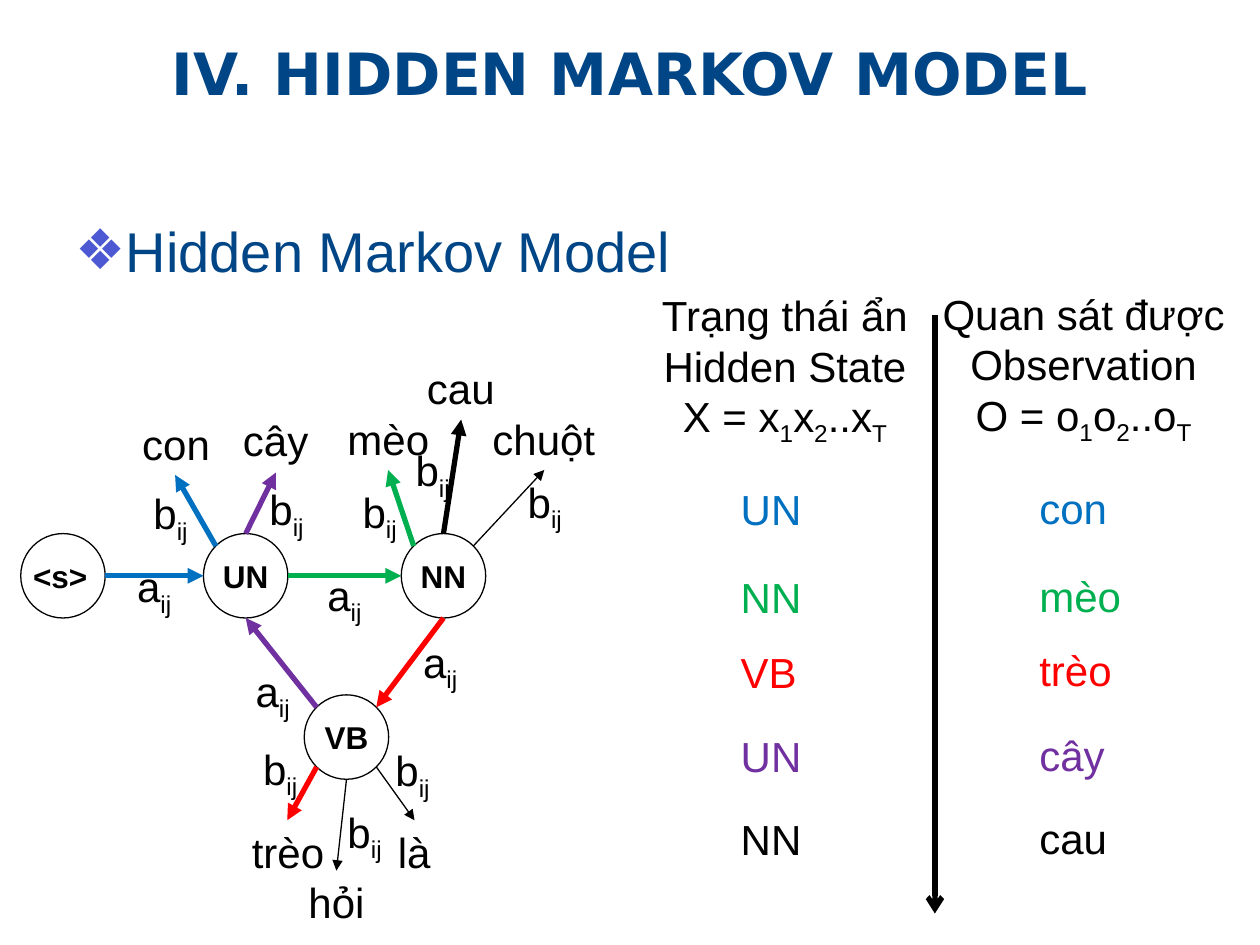
"""Build the Hidden Markov Model slide: state graph and hidden/observed sequences."""
import math

import pptx
import pptx.dml.color
import pptx.enum.shapes
import pptx.enum.text
import pptx.oxml.ns
import pptx.util
from lxml import etree
from pptx.util import Inches

COLORS = {
    "black": "000000", "navy": "004586", "bullet": "4C59D2", "blue": "0070C0",
    "green": "00B050", "red": "FF0000", "purple": "7030A0",
}
DIAMETER = 0.67
STATES = {"<s>": (0.5, 4.57), "UN": (1.95, 4.57), "NN": (3.52, 4.57), "VB": (2.75, 5.85)}
WIDTHS = {
    "con": 0.75, "mèo": 0.86, "trèo": 0.79, "cây": 0.73, "cau": 0.75, "chuột": 1.03,
    "hỏi": 0.66, "là": 0.47, "UN": 0.69, "NN": 0.69, "VB": 0.66,
}
# Source, exit angle, target, entry angle, colour, label corner
TRANSITIONS = [
    ("<s>", 0, "UN", 180, "blue", (0.99, 4.4)),
    ("UN", 0, "NN", 180, "green", (2.5, 4.47)),
    ("NN", 270, "VB", 45, "red", (3.26, 5)),
    ("VB", 135, "UN", 270, "purple", (1.93, 5.23)),
]
# State, exit angle, arrow tip, colour, weight, word, word corner, label corner
EMISSIONS = [
    ("UN", 135, (1.39, 3.77), "blue", 3, "con", (1.03, 3.27), (1.12, 3.82)),
    ("UN", 90, (2.19, 3.75), "purple", 3, "cây", (1.83, 3.24), (2.04, 3.79)),
    ("NN", 135, (3.08, 3.73), "green", 3, "mèo", (2.66, 3.23), (2.78, 3.81)),
    ("NN", 90, (3.66, 3.33), "black", 3, "cau", (3.29, 2.83), (3.2, 3.48)),
    ("NN", 45, (4.32, 3.73), "black", 0.75, "chuột", (3.81, 3.23), (4.09, 3.73)),
    ("VB", 225, (2.28, 6.51), "red", 3, "trèo", (1.9, 6.51), (1.99, 5.85)),
    ("VB", 270, (2.67, 6.91), "black", 0.75, "hỏi", (2.35, 6.91), (2.66, 6.35)),
    ("VB", 315, (3.29, 6.51), "black", 0.75, "là", (3.06, 6.51), (3.04, 5.86)),
]
SEQUENCE = [
    ("UN", "con", "blue", 3.78), ("NN", "mèo", "green", 4.48), ("VB", "trèo", "red", 5.07),
    ("UN", "cây", "purple", 5.74), ("NN", "cau", "black", 6.4),
]


def rgb(color):
    return pptx.dml.color.RGBColor.from_string(COLORS[color])


def set_font(paragraph, size, color="black", face="Arial", bold=False):
    font = paragraph.font
    font.size, font.name, font.bold = pptx.util.Pt(size), face, bold
    font.color.rgb = rgb(color)


def place(shape, left, top, width, height):
    shape.left, shape.top = Inches(left), Inches(top)
    shape.width, shape.height = Inches(width), Inches(height)


def clear_margins(frame):
    frame.margin_left = frame.margin_right = frame.margin_top = frame.margin_bottom = 0
    frame.vertical_anchor = pptx.enum.text.MSO_ANCHOR.MIDDLE


def add_label(slide, corner, size, lines, color="black", centered=False):
    """Add text whose parts between underscores are subscripts."""
    label = slide.shapes.add_textbox(*map(Inches, corner + size))
    frame = label.text_frame
    frame.word_wrap = False
    frame.auto_size = pptx.enum.text.MSO_AUTO_SIZE.SHAPE_TO_FIT_TEXT
    for index, line in enumerate(lines):
        paragraph = frame.add_paragraph() if index else frame.paragraphs[0]
        if centered:
            paragraph.alignment = pptx.enum.text.PP_ALIGN.CENTER
        set_font(paragraph, 24, color)
        for position, part in enumerate(line.split("_")):
            if part:
                run = paragraph.add_run()
                run.text = part
                if position % 2:
                    run.font._element.set("baseline", "-25000")


def add_word(slide, word, corner, color="black"):
    add_label(slide, corner, (WIDTHS[word], 0.5), [word], color)


def add_probability(slide, letter, corner):
    add_label(slide, corner, (0.47, 0.56), [f"{letter}_ij"])


def add_arrow(slide, start, end, color, weight, head="triangle"):
    arrow = slide.shapes.add_connector(
        pptx.enum.shapes.MSO_CONNECTOR.STRAIGHT, *map(Inches, start + end))
    arrow.line.color.rgb = rgb(color)
    arrow.line.width = pptx.util.Pt(weight)
    qn = pptx.oxml.ns.qn
    etree.SubElement(arrow.line._get_or_add_ln(), qn("a:tailEnd"), type=head)
    etree.SubElement(arrow._element.spPr, qn("a:effectLst"))


def rim(state, degrees):
    """Return the point on a state's circle at a counterclockwise angle."""
    x, y = STATES[state]
    angle = math.radians(degrees)
    return x + DIAMETER / 2 * math.cos(angle), y - DIAMETER / 2 * math.sin(angle)


def add_state(slide, name):
    x, y = STATES[name]
    state = slide.shapes.add_shape(
        pptx.enum.shapes.MSO_SHAPE.OVAL, Inches(x - DIAMETER / 2), Inches(y - DIAMETER / 2),
        Inches(DIAMETER), Inches(DIAMETER))
    state.shadow.inherit = False
    state.fill.background()
    state.line.color.rgb = rgb("black")
    state.line.width = pptx.util.Pt(0.75)
    clear_margins(state.text_frame)
    paragraph = state.text_frame.paragraphs[0]
    paragraph.text = name
    align = pptx.enum.text.PP_ALIGN
    paragraph.alignment = align.LEFT if name == "<s>" else align.CENTER
    set_font(paragraph, 18, bold=True)


def fill_title(title):
    place(title, 0, 0.32, 10, 0.58)
    clear_margins(title.text_frame)
    paragraph = title.text_frame.paragraphs[0]
    paragraph.text = "IV. HIDDEN MARKOV MODEL"
    paragraph.alignment = pptx.enum.text.PP_ALIGN.CENTER
    paragraph.line_spacing = 0.9
    set_font(paragraph, 33.3, "navy", "DejaVu Sans", True)


def fill_body(body):
    place(body, 0.5, 1.67, 9, 5.25)
    paragraph = body.text_frame.paragraphs[0]
    paragraph.text = "Hidden Markov Model"
    paragraph.space_before = pptx.util.Pt(0)
    qn = pptx.oxml.ns.qn
    properties = paragraph._p.get_or_add_pPr()
    properties.set("marL", str(Inches(0.37)))
    properties.set("indent", str(Inches(-0.37)))
    bullet_color = etree.SubElement(properties, qn("a:buClr"))
    etree.SubElement(bullet_color, qn("a:srgbClr"), val=COLORS["bullet"])
    etree.SubElement(properties, qn("a:buChar"), char="❖")
    set_font(paragraph, 32, "navy")


def add_graph(slide):
    for name in STATES:
        add_state(slide, name)
    for source, leave, target, enter, color, label in TRANSITIONS:
        add_arrow(slide, rim(source, leave), rim(target, enter), color, 3)
        add_probability(slide, "a", label)
    for state, leave, tip, color, weight, word, corner, label in EMISSIONS:
        add_arrow(slide, rim(state, leave), tip, color, weight)
        add_word(slide, word, corner)
        add_probability(slide, "b", label)


def add_sequences(slide):
    add_arrow(slide, (7.42, 2.5), (7.42, 7.25), "black", 3, "arrow")
    add_label(slide, (5.15, 2.25), (2.16, 1.36),
              ["Trạng thái ẩn", "Hidden State", "X = x_1_x_2_..x_T"], centered=True)
    add_label(slide, (7.38, 2.24), (2.44, 1.36),
              ["Quan sát được", "Observation", "O = o_1_o_2_..o_T"], centered=True)
    for state, word, color, top in SEQUENCE:
        add_word(slide, state, (5.78, top + 0.01), color)
        add_word(slide, word, (8.15, top), color)


def main():
    deck = pptx.Presentation()
    deck.slide_width, deck.slide_height = Inches(10), Inches(7.5)
    slide = deck.slides.add_slide(deck.slide_layouts[1])
    fill_title(slide.shapes.title)
    fill_body(slide.placeholders[1])
    add_graph(slide)
    add_sequences(slide)
    deck.save("out.pptx")


if __name__ == "__main__":
    main()
